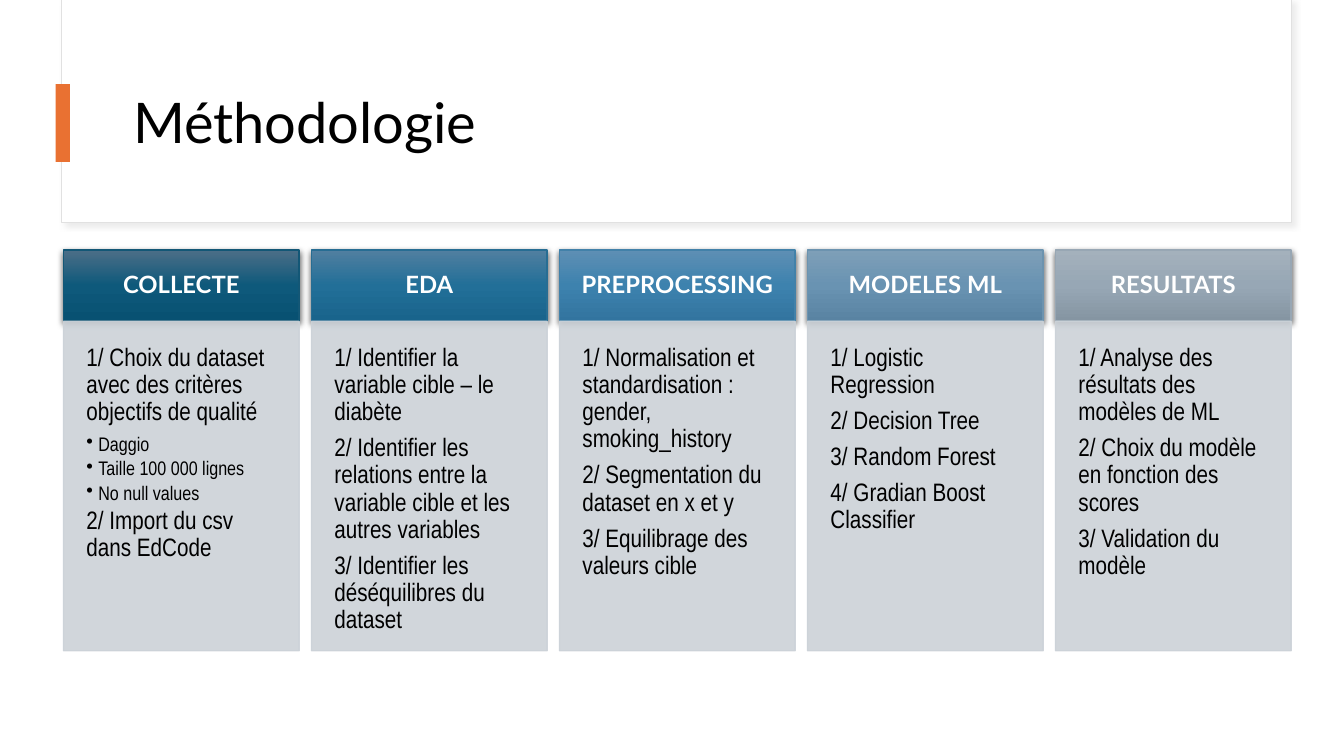
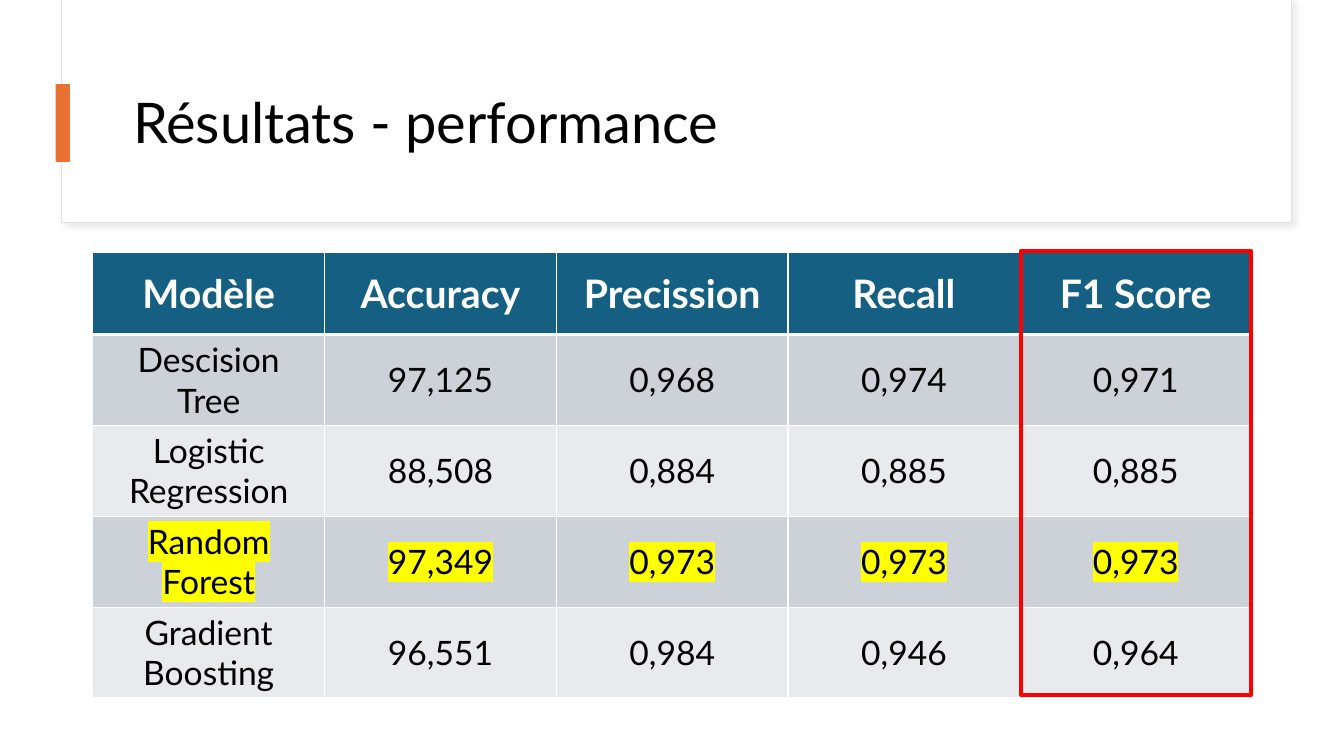
from copy import deepcopy

from lxml import etree
from pptx import Presentation
from pptx.dml.color import RGBColor
from pptx.enum.shapes import MSO_SHAPE
from pptx.enum.text import MSO_ANCHOR, MSO_AUTO_SIZE, PP_ALIGN
from pptx.oxml.ns import qn
from pptx.util import Cm, Pt

RECTANGLE = MSO_SHAPE.RECTANGLE
TOP, MIDDLE = MSO_ANCHOR.TOP, MSO_ANCHOR.MIDDLE
LEFT, CENTER = PP_ALIGN.LEFT, PP_ALIGN.CENTER
NO_AUTOFIT = MSO_AUTO_SIZE.NONE

BLACK = RGBColor(0x00, 0x00, 0x00)
WHITE = RGBColor(0xFF, 0xFF, 0xFF)
FRAME_GREY = RGBColor(0xE1, 0xE1, 0xE1)
SHADOW_GREY = RGBColor(0xD9, 0xD9, 0xD9)
ORANGE = RGBColor(0xE9, 0x71, 0x32)
BLUE = RGBColor(0x15, 0x60, 0x82)
PANEL_GREY = RGBColor(0xCC, 0xD2, 0xD8)
PALE_GREY = RGBColor(0xE8, 0xEA, 0xED)
RED = RGBColor(0xFF, 0x00, 0x00)
YELLOW = RGBColor(0xFF, 0xFF, 0x00)

HEADING_FONT = "Lato"
BODY_FONT = "Arial Narrow"

TITLES = ["Méthodologie", "Résultats - performance"]

STEPS = [
    ("COLLECTE", ["4C6E87", "0E597B", "085172"], "135776", [
        "1/ Choix du dataset avec des critères objectifs de qualité",
        "• Daggio", "• Taille 100 000 lignes", "• No null values",
        "2/ Import du csv dans EdCode"]),
    ("EDA", ["517FA0", "226F98", "19648C"], "276D93", [
        "1/ Identifier la variable cible – le diabète",
        "2/ Identifier les relations entre la variable cible et les autres variables",
        "3/ Identifier les déséquilibres du dataset"]),
    ("PREPROCESSING", ["5E8FB4", "3D82AE", "32749F"], "4281A9", [
        "1/ Normalisation et standardisation : gender, smoking_history",
        "2/ Segmentation du dataset en x et y",
        "3/ Equilibrage des valeurs cible"]),
    ("MODELES ML", ["7E9FB8", "6993B2", "5983A2"], "6C93AF", [
        "1/ Logistic Regression", "2/ Decision Tree",
        "3/ Random Forest", "4/ Gradian Boost Classifier"]),
    ("RESULTATS", ["A4B1BC", "97A7B5", "8595A2"], "98A7B4", [
        "1/ Analyse des résultats des modèles de ML",
        "2/ Choix du modèle en fonction des scores",
        "3/ Validation du modèle"]),
]

SCORES = [
    ["Modèle", "Accuracy", "Precission", "Recall", "F1 Score"],
    ["Descision Tree", "97,125", "0,968", "0,974", "0,971"],
    ["Logistic Regression", "88,508", "0,884", "0,885", "0,885"],
    ["Random Forest", "97,349", "0,973", "0,973", "0,973"],
    ["Gradient Boosting", "96,551", "0,984", "0,946", "0,964"],
]
BEST_ROW = 3


def add_box(page, left, top, width, height, fill=None, line=None, weight=1, shadow=None):
    box = page.shapes.add_shape(RECTANGLE, Cm(left), Cm(top), Cm(width), Cm(height))
    if fill is None:
        box.fill.background()
    else:
        box.fill.solid()
        box.fill.fore_color.rgb = fill
    if line is None:
        box.line.fill.background()
    else:
        box.line.color.rgb = line
        box.line.width = Pt(weight)
    box.shadow.inherit = False
    if shadow:
        color, alpha, blur, distance, angle = shadow
        effects = box.element.spPr.find(qn("a:effectLst"))
        outer = etree.SubElement(
            effects, qn("a:outerShdw"), blurRad=str(Pt(blur)), dist=str(Pt(distance)),
            dir=str(angle * 60000), algn="ctr", rotWithShape="0")
        tint = etree.SubElement(outer, qn("a:srgbClr"), val=str(color))
        etree.SubElement(tint, qn("a:alpha"), val=str(alpha * 1000))
    return box


def add_text(para, text, size, color, font, align=LEFT, bold=False, spacing=0.9, after=0):
    para.alignment = align
    para.line_spacing = spacing
    para.space_after = Pt(after)
    span = para.add_run()
    span.text = text
    span.font.size = Pt(size)
    span.font.bold = bold
    span.font.color.rgb = color
    span.font.name = font
    return span


deck = Presentation()
deck.slide_width, deck.slide_height = Cm(33.87), Cm(19.05)
pages = []
for title_text in TITLES:
    page = deck.slides.add_slide(deck.slide_layouts[5])
    pages.append(page)
    add_box(page, 1.56, 0, 31, 5.62, WHITE, FRAME_GREY, 0.75, (SHADOW_GREY, 50, 4, 3, 45))
    add_box(page, 1.4, 2.12, 0.36, 1.96, ORANGE)
    title = page.shapes.title
    title.left, title.top, title.width, title.height = Cm(3.1), Cm(1.52), Cm(28.24), Cm(3.28)
    title.text_frame.auto_size = NO_AUTOFIT
    title.text_frame.word_wrap = True
    title.text_frame.vertical_anchor = MIDDLE
    add_text(title.text_frame.paragraphs[0], title_text, 40, BLACK, HEADING_FONT)
    title.element.getparent().append(title.element)

method_page, result_page = pages

for index, (heading, gradient, edge, lines) in enumerate(STEPS):
    left = 1.6 + index * 6.25
    header = add_box(method_page, left, 6.3, 5.94, 1.79, BLUE, RGBColor.from_string(edge), 1,
                     (BLACK, 63, 4.5, 1.5, 90))
    header.fill.gradient()
    header.fill.gradient_angle = 270
    stop_list = header.element.spPr.find(qn("a:gradFill")).find(qn("a:gsLst"))
    stop_list.append(deepcopy(stop_list[-1]))
    for stop, position, shade in zip(header.fill.gradient_stops, (0, 0.5, 1), gradient):
        stop.position = position
        stop.color.rgb = RGBColor.from_string(shade)
    panel = add_box(method_page, left, 8.1, 5.94, 8.3, PANEL_GREY, PANEL_GREY)
    for tint in panel.element.spPr.iter(qn("a:srgbClr")):
        etree.SubElement(tint, qn("a:alpha"), val="90000")
    for box, inset, anchor in ((header, 0.48, MIDDLE), (panel, 0.58, TOP)):
        frame = box.text_frame
        frame.word_wrap = True
        frame.vertical_anchor = anchor
        frame.margin_left = frame.margin_right = Cm(inset)
        frame.margin_top = frame.margin_bottom = Cm(inset)
    add_text(header.text_frame.paragraphs[0], heading, 17, WHITE, HEADING_FONT, CENTER, True)
    for number, line in enumerate(lines):
        frame = panel.text_frame
        para = frame.add_paragraph() if number else frame.paragraphs[0]
        if line.startswith("• "):
            add_text(para, line[2:], 14, BLACK, BODY_FONT, after=2.1)
            para.level = 1
            properties = para._p.get_or_add_pPr()
            properties.set("marL", str(Cm(0.3)))
            properties.set("indent", str(-Cm(0.3)))
            etree.SubElement(properties, qn("a:buChar"), char="•")
        else:
            add_text(para, line, 18, BLACK, BODY_FONT, after=6.3)

table = result_page.shapes.add_table(
    len(SCORES), len(SCORES[0]), Cm(2.34), Cm(6.35), Cm(29.2), Cm(11.24)).table
for column in table.columns:
    column.width = Cm(5.84)
for row_index, values in enumerate(SCORES):
    is_header = row_index == 0
    table.rows[row_index].height = Cm(2.08 if is_header else 2.29)
    for column_index, value in enumerate(values):
        cell = table.cell(row_index, column_index)
        cell.vertical_anchor = MIDDLE
        properties = cell._tc.get_or_add_tcPr()
        for side in ("lnL", "lnR", "lnT", "lnB"):
            thick = (row_index, side) in ((0, "lnB"), (1, "lnT"))
            border = etree.SubElement(properties, qn("a:" + side), w=str(Pt(3 if thick else 1)))
            paint = etree.SubElement(border, qn("a:solidFill"))
            etree.SubElement(paint, qn("a:srgbClr"), val=str(WHITE))
        cell.fill.solid()
        cell.fill.fore_color.rgb = BLUE if is_header else PANEL_GREY if row_index % 2 else PALE_GREY
        span = add_text(cell.text_frame.paragraphs[0], value, 28 if is_header else 24,
                        WHITE if is_header else BLACK, HEADING_FONT, CENTER, is_header, 1.0)
        if row_index == BEST_ROW:
            highlight = etree.Element(qn("a:highlight"))
            etree.SubElement(highlight, qn("a:srgbClr"), val=str(YELLOW))
            span._r.get_or_add_rPr().find(qn("a:solidFill")).addnext(highlight)

add_box(result_page, 25.73, 6.32, 5.79, 11.2, line=RED, weight=3)

deck.save("out.pptx")
